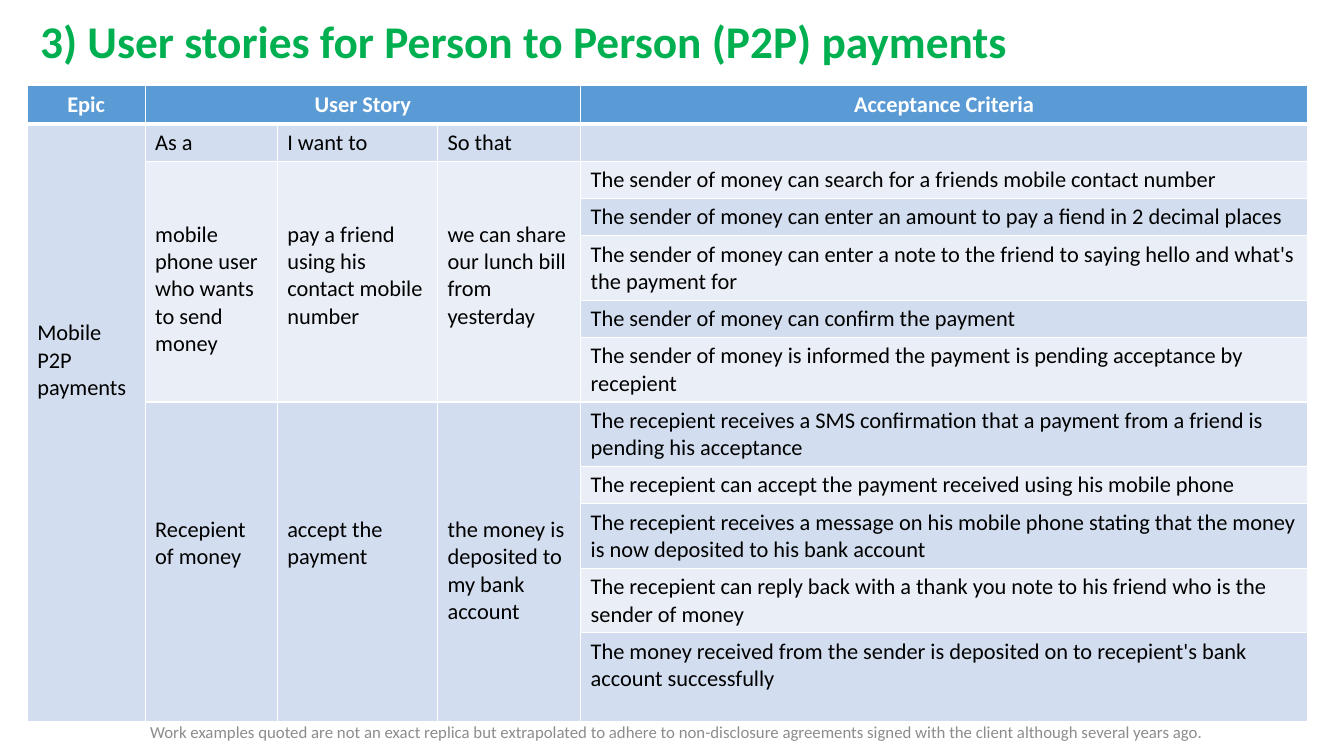
from lxml.etree import SubElement
from pptx import Presentation
from pptx.dml.color import RGBColor
from pptx.enum.text import MSO_ANCHOR, PP_ALIGN
from pptx.oxml.ns import qn
from pptx.util import Inches, Pt

TITLE = "3) User stories for Person to Person (P2P) payments"
FOOTER = ("Work examples quoted are not an exact replica but extrapolated to adhere to "
          "non-disclosure agreements signed with the client although several years ago.")
CRITERIA = [
    "The sender of money can search for a friends mobile contact number",
    "The sender of money can enter an amount to pay a fiend in 2 decimal places",
    "The sender of money can enter a note to the friend to saying hello and what's the payment for",
    "The sender of money can confirm the payment",
    "The sender of money is informed the payment is pending acceptance by recepient",
    "The recepient receives a SMS confirmation that a payment from a friend is pending his acceptance",
    "The recepient can accept the payment received using his mobile phone",
    "The recepient receives a message on his mobile phone stating that the money is now "
    "deposited to his bank account",
    "The recepient can reply back with a thank you note to his friend who is the sender of money",
    "The money received from the sender is deposited on to recepient's bank account successfully",
]
SENDER = ["mobile phone user who wants to send money",
          "pay a friend using his contact mobile number",
          "we can share our lunch bill from yesterday"]
TAKER = ["Recepient of money", "accept the payment",
         "the money is deposited to my bank account"]

# (row, column): text, rows spanned, columns spanned, lines left free above
CELLS = {
    (0, 0): ("Epic", 1, 1, 0),
    (0, 1): ("User Story", 1, 3, 0),
    (0, 4): ("Acceptance Criteria", 1, 1, 0),
    (1, 0): ("Mobile P2P payments", 11, 1, 7),
}
for col, label in enumerate(["As a", "I want to", "So that"], 1):
    CELLS[1, col] = (label, 1, 1, 0)
for row, story, gap in [(2, SENDER, 2), (7, TAKER, 4)]:
    for col, text in enumerate(story, 1):
        CELLS[row, col] = (text, 5, 1, gap)
for row, text in enumerate(CRITERIA, 2):
    CELLS[row, 4] = (text, 1, 1, 0)

WIDTHS = [1.17, 1.31, 1.59, 1.42, 7.21]
ONE, TWO = 0.37, 0.64
HEIGHTS = [0.38, ONE, ONE, ONE, TWO, ONE, TWO, TWO, ONE, TWO, TWO, 0.88]
LINE = 0.27
HEAD, BANDS = "5B9BD5", ["EAEFF7", "D2DEEF"]
HEAD_FONT = {"size": Pt(16), "bold": True}
BODY_FONT = {"size": Pt(16), "bold": False}


def color(code):
    return RGBColor.from_string(code)


def write(frame, text, font, code, align=PP_ALIGN.LEFT):
    para = frame.paragraphs[0]
    para.alignment = align
    run = para.add_run()
    run.text = text
    for key, value in {"name": "Calibri", **font}.items():
        setattr(run.font, key, value)
    run.font.color.rgb = color(code)
    return para


def label(slide, box, *style):
    frame = slide.shapes.add_textbox(*map(Inches, box)).text_frame
    frame.word_wrap = True
    frame.vertical_anchor = MSO_ANCHOR.MIDDLE
    return write(frame, *style)


def edge(cell, side, points):
    line = SubElement(cell._tc.get_or_add_tcPr(), qn("a:ln" + side), w=str(Pt(points)))
    fill = SubElement(line, qn("a:solidFill"))
    SubElement(fill, qn("a:srgbClr"), val="FFFFFF")


def dress(cell, row):
    """Give a cell its white borders, its band and the size of its empty text."""
    for side in "LRTB":
        thick = (row, side) in [(0, "B"), (1, "T")]
        edge(cell, side, 3 if thick else 1)
    cell.fill.solid()
    cell.fill.fore_color.rgb = color(BANDS[row % 2] if row else HEAD)
    SubElement(cell.text_frame.paragraphs[0]._p, qn("a:endParaRPr"), sz="1600")


def build(slide):
    box = map(Inches, (0.27, 0.85, sum(WIDTHS), sum(HEIGHTS)))
    table = slide.shapes.add_table(len(HEIGHTS), len(WIDTHS), *box).table
    for column, width in zip(table.columns, WIDTHS):
        column.width = Inches(width)
    for row, height in enumerate(HEIGHTS):
        table.rows[row].height = Inches(height)
        for col in range(len(WIDTHS)):
            dress(table.cell(row, col), row)
    for (row, col), (text, down, across, gap) in CELLS.items():
        cell = table.cell(row, col)
        if down * across > 1:
            cell.merge(table.cell(row + down - 1, col + across - 1))
        cell.margin_top = Inches(0.05 + gap * LINE)
        if row:
            write(cell.text_frame, text, BODY_FONT, "000000")
        else:
            write(cell.text_frame, text, HEAD_FONT, "FFFFFF", PP_ALIGN.CENTER)


def main():
    deck = Presentation()
    deck.slide_width, deck.slide_height = Inches(13.33), Inches(7.5)
    slide = deck.slides.add_slide(deck.slide_layouts[6])
    title = label(slide, (0.3, 0.11, 11.5, 0.65), TITLE,
                  {"size": Pt(32.4), "bold": True}, "00B050")
    title.line_spacing = 0.9
    build(slide)
    label(slide, (0.23, 7.15, 12.97, 0.23), FOOTER,
          {"size": Pt(12)}, "8C8C8C", PP_ALIGN.CENTER)
    deck.save("out.pptx")


if __name__ == "__main__":
    main()
